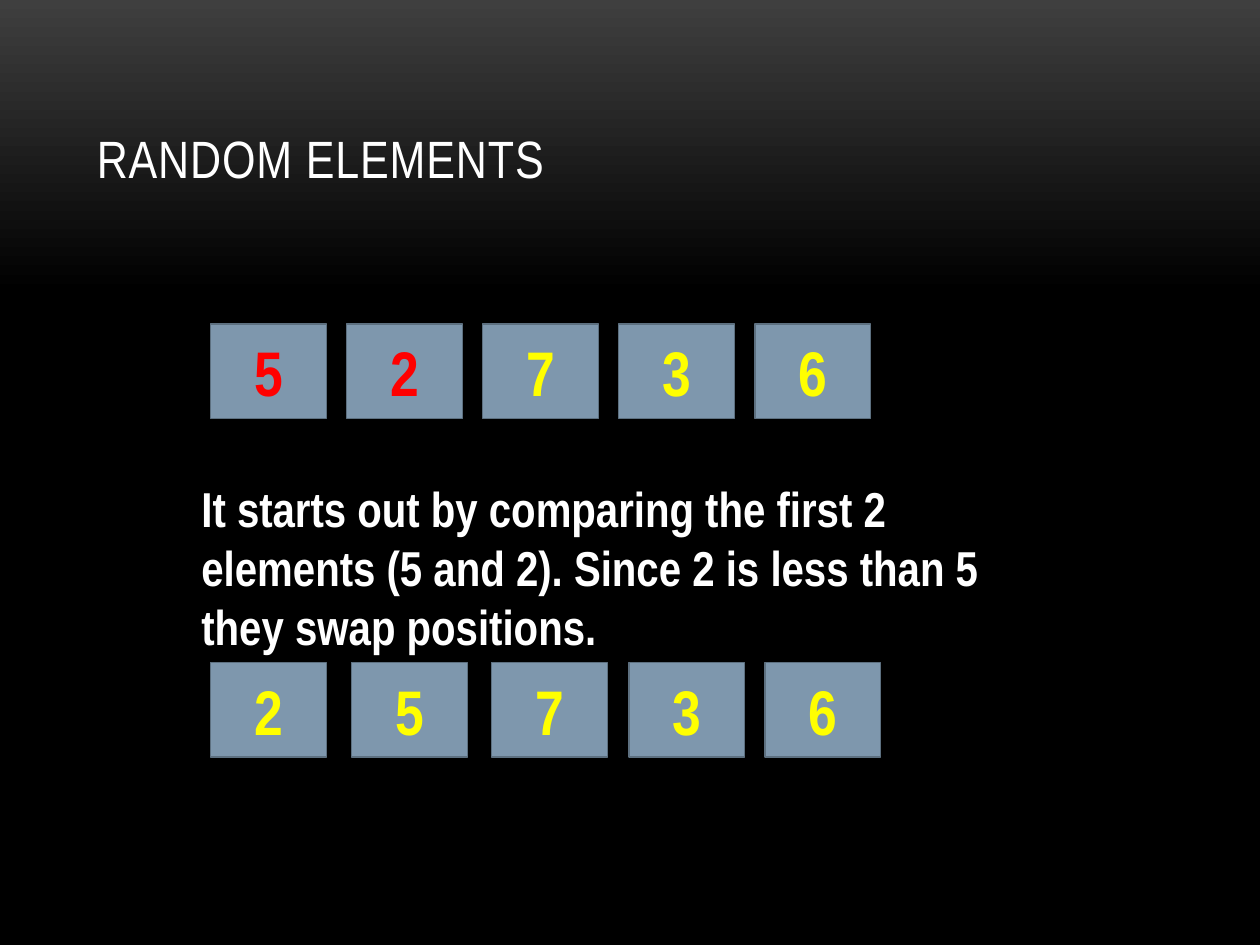
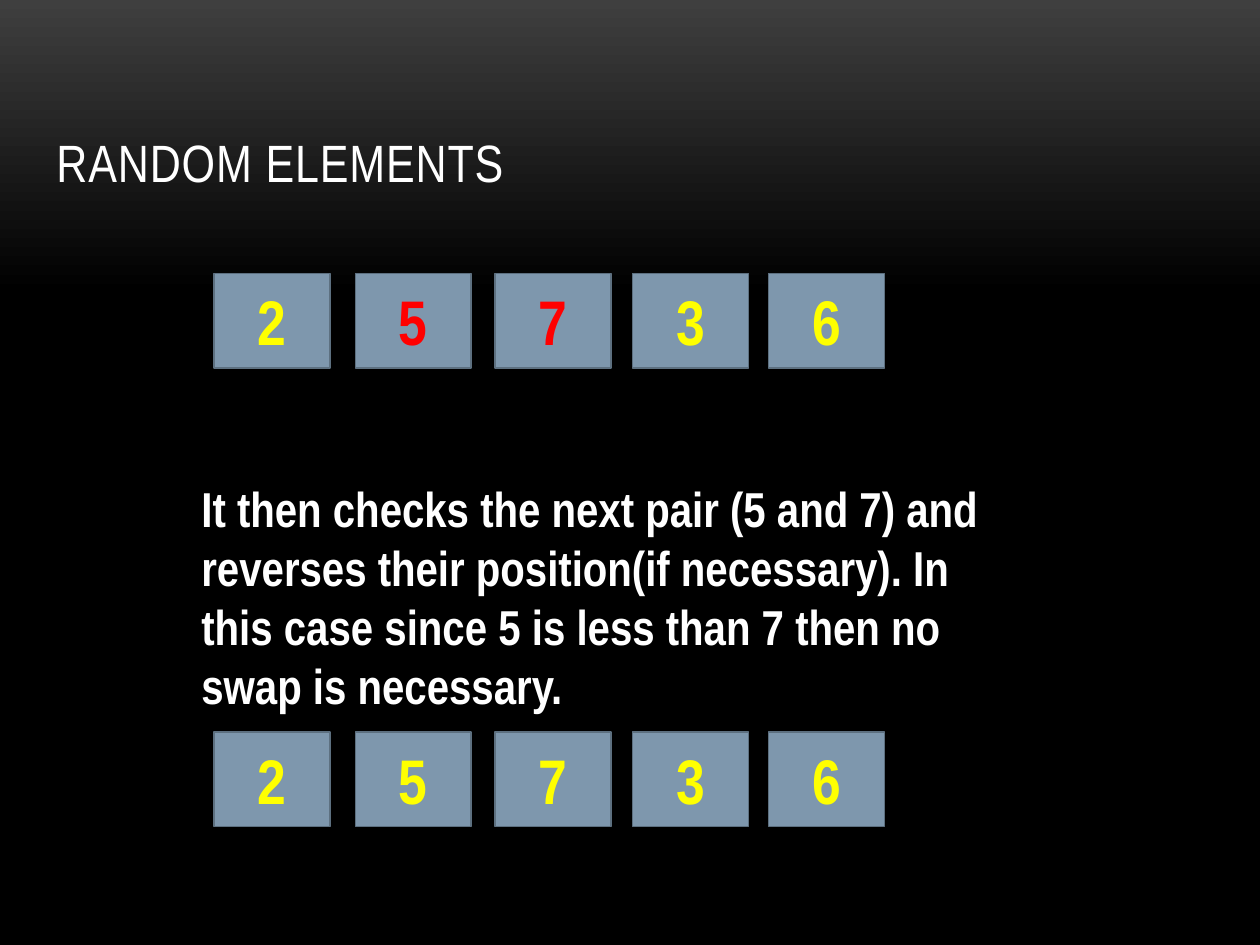
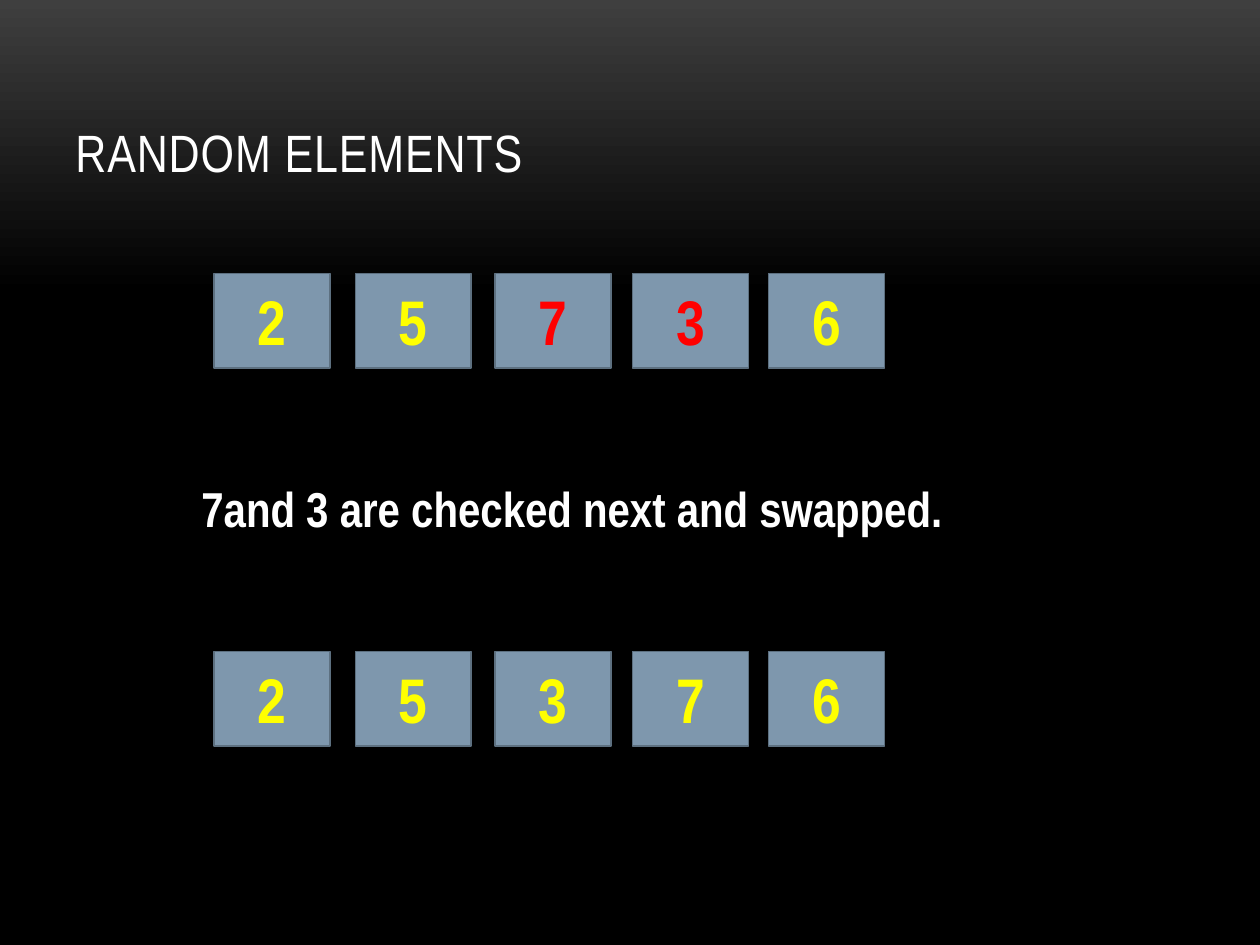
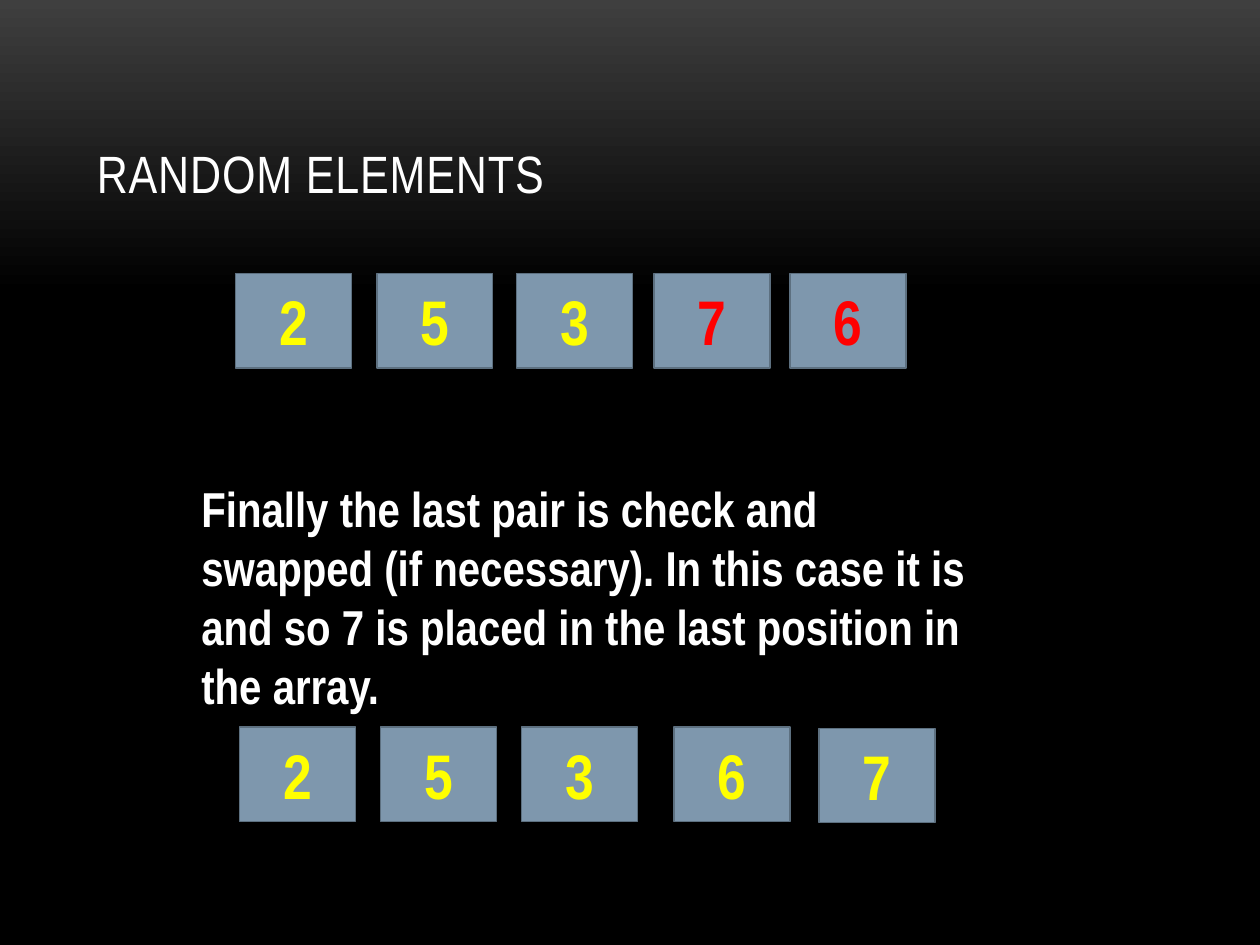
from copy import deepcopy
from dataclasses import dataclass
from itertools import accumulate

from pptx import Presentation
from pptx.dml.color import RGBColor
from pptx.enum.shapes import MSO_SHAPE
from pptx.enum.text import MSO_ANCHOR, PP_ALIGN
from pptx.slide import Slide, SlideMaster
from pptx.text.text import TextFrame
from pptx.util import Inches, Pt

COLORS = {
    "glow": "3F3F3F",
    "backdrop": "000000",
    "text": "FFFFFF",
    "cell": "7E97AD",
    "cell_edge": "5D7080",
    "digit": "FFFF00",
    "compared": "FF0000",
}
FONT = "Arial Narrow"
TITLE = "RANDOM ELEMENTS"
CELL_WIDTH, CELL_HEIGHT = 0.92, 0.75
EVEN_STEPS = (1.08, 1.08, 1.08, 1.08)
LOOSE_STEPS = (1.12, 1.11, 1.09, 1.08)
WIDE_STEPS = (1.12, 1.12, 1.21, 1.15)


@dataclass(frozen=True)
class ArrayRow:
    digits: str
    left: float
    top: float
    steps: tuple[float, ...] = LOOSE_STEPS
    compared: str = ""
    last_drop: float = 0


@dataclass(frozen=True)
class SortStep:
    title_left: float
    title_top: float
    title_width: float
    explanation: str
    explanation_height: float
    before: ArrayRow
    after: ArrayRow


SORT_STEPS = (
    SortStep(
        0.67, 0.3, 8.67,
        "It starts out by comparing the first 2 elements (5 and 2). "
        "Since 2 is less than 5 they swap positions.",
        1.51,
        ArrayRow("52736", 1.67, 2.57, EVEN_STEPS, compared="52"),
        ArrayRow("25736", 1.67, 5.26),
    ),
    SortStep(
        0.35, 0.33, 9,
        "It then checks the next pair (5 and 7) and reverses their position"
        "(if necessary). In this case since 5 is less than 7 then no swap is necessary.",
        1.99,
        ArrayRow("25736", 1.7, 2.17, compared="57"),
        ArrayRow("25736", 1.7, 5.81),
    ),
    SortStep(
        0.5, 0.25, 9,
        "7and 3 are checked next and swapped.",
        1.04,
        ArrayRow("25736", 1.7, 2.17, compared="73"),
        ArrayRow("25376", 1.7, 5.17),
    ),
    SortStep(
        0.67, 0.42, 9,
        "Finally the last pair is check and swapped (if necessary). In this case "
        "it is and so 7 is placed in the last position in the array.",
        1.99,
        ArrayRow("25376", 1.87, 2.17, compared="76"),
        ArrayRow("25367", 1.9, 5.77, WIDE_STEPS, last_drop=0.01),
    ),
)


def color(role: str) -> RGBColor:
    return RGBColor.from_string(COLORS[role])


def paint_background(master: SlideMaster) -> None:
    fill = master.background.fill
    fill.gradient()
    fill.gradient_angle = 270
    glow, backdrop = fill.gradient_stops
    glow.position, glow.color.rgb = 0, color("glow")
    backdrop.position, backdrop.color.rgb = 0.31, color("backdrop")
    dark_stop = master.background.fill._fill._gradFill.gsLst[-1]
    dark_end = deepcopy(dark_stop)
    dark_end.set("pos", "100000")
    dark_stop.addnext(dark_end)


def write(frame: TextFrame, words: str, size: float, role: str, bold: bool = True) -> None:
    frame.text = words
    font = frame.paragraphs[0].runs[0].font
    font.name, font.size, font.bold = FONT, Pt(size), bold
    font.color.rgb = color(role)


def add_title(slide: Slide, step: SortStep) -> None:
    title = slide.shapes.add_textbox(
        Inches(step.title_left), Inches(step.title_top), Inches(step.title_width), Inches(1.25)
    ).text_frame
    title.word_wrap = True
    title.vertical_anchor = MSO_ANCHOR.BOTTOM
    write(title, TITLE, 30, "text", bold=False)
    title.paragraphs[0].runs[0].font._element.set("spc", "50")


def add_explanation(slide: Slide, step: SortStep) -> None:
    explanation = slide.shapes.add_textbox(
        Inches(1.5), Inches(3.75), Inches(6.42), Inches(step.explanation_height)
    ).text_frame
    explanation.word_wrap = True
    write(explanation, step.explanation, 28, "text")


def add_cell(slide: Slide, digit: str, left: float, top: float, role: str) -> None:
    cell = slide.shapes.add_shape(
        MSO_SHAPE.RECTANGLE, Inches(left), Inches(top), Inches(CELL_WIDTH), Inches(CELL_HEIGHT)
    )
    cell.shadow.inherit = False
    cell.fill.solid()
    cell.fill.fore_color.rgb = color("cell")
    cell.line.color.rgb = color("cell_edge")
    cell.line.width = Pt(0.85)
    cell.text_frame.vertical_anchor = MSO_ANCHOR.MIDDLE
    write(cell.text_frame, digit, 36, role)
    cell.text_frame.paragraphs[0].alignment = PP_ALIGN.CENTER


def add_row(slide: Slide, row: ArrayRow) -> None:
    lefts = accumulate(row.steps, initial=row.left)
    last = len(row.digits) - 1
    for position, (digit, left) in enumerate(zip(row.digits, lefts)):
        top = row.top + (row.last_drop if position == last else 0)
        add_cell(slide, digit, left, top, "compared" if digit in row.compared else "digit")


def main() -> None:
    deck = Presentation()
    deck.slide_width, deck.slide_height = Inches(10), Inches(7.5)
    paint_background(deck.slide_master)
    blank = deck.slide_layouts[6]
    for step in SORT_STEPS:
        slide = deck.slides.add_slide(blank)
        add_title(slide, step)
        add_explanation(slide, step)
        add_row(slide, step.before)
        add_row(slide, step.after)
    deck.save("out.pptx")


main()
